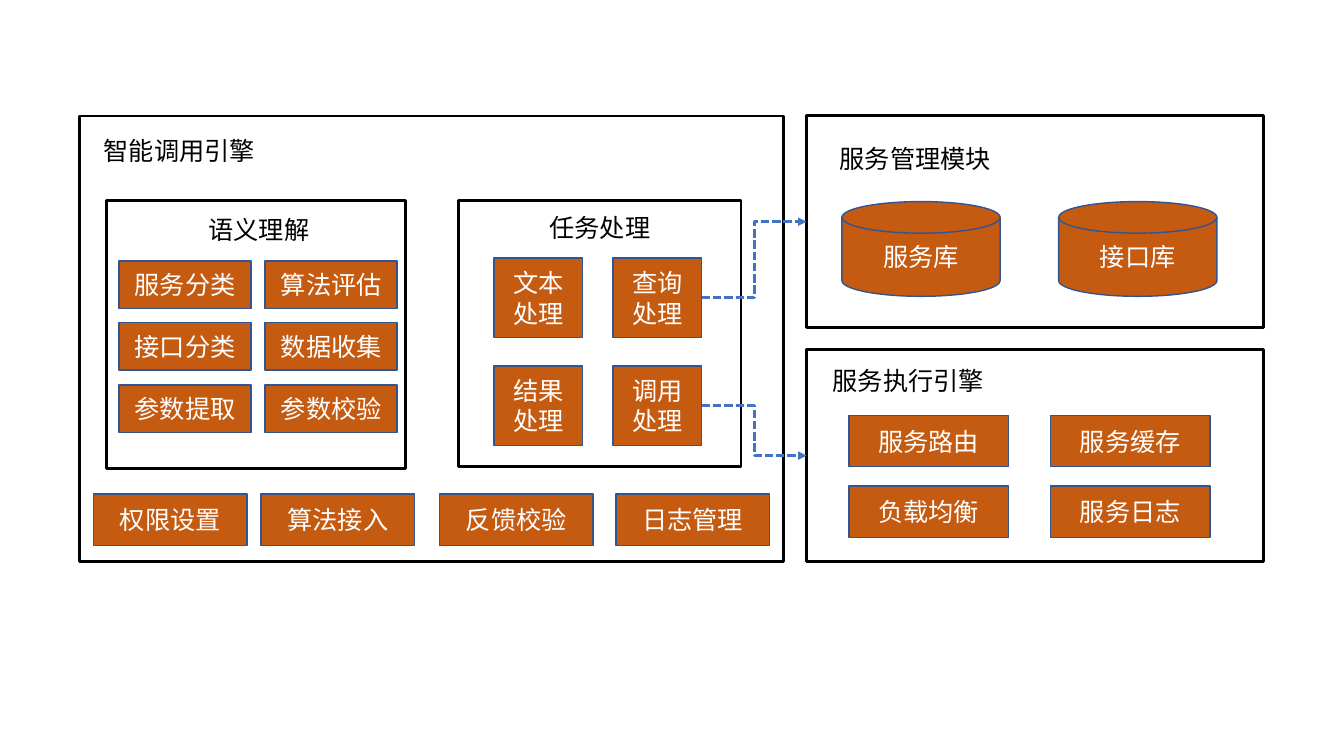
from pptx import Presentation
from pptx.dml.color import RGBColor
from pptx.enum.dml import MSO_LINE
from pptx.enum.shapes import MSO_CONNECTOR, MSO_SHAPE
from pptx.enum.text import MSO_ANCHOR, PP_ALIGN
from pptx.oxml.ns import qn
from pptx.util import Inches, Pt
from lxml import etree

RECT, DISK = MSO_SHAPE.RECTANGLE, MSO_SHAPE.FLOWCHART_MAGNETIC_DISK
ELBOW, DASH = MSO_CONNECTOR.ELBOW, MSO_LINE.SQUARE_DOT
LEFT, CENTER = PP_ALIGN.LEFT, PP_ALIGN.CENTER
TOP, MIDDLE = MSO_ANCHOR.TOP, MSO_ANCHOR.MIDDLE
LEFT_SITE, RIGHT_SITE = 1, 3

ORANGE = RGBColor(0xC5, 0x5A, 0x11)
NAVY = RGBColor(0x32, 0x54, 0x91)
BLUE = RGBColor(0x44, 0x72, 0xC4)
BLACK = RGBColor(0, 0, 0)
WHITE = RGBColor(0xFF, 0xFF, 0xFF)
FONT = "Noto Sans CJK SC"


def write(shape, text, color, align, anchor):
    tf = shape.text_frame
    tf.word_wrap, tf.vertical_anchor = True, anchor
    p = tf.paragraphs[0]
    p.alignment = align
    r = p.add_run()
    r.text = text
    for name, value in {"name": FONT, "size": Pt(18)}.items():
        setattr(r.font, name, value)
    r.font.color.rgb = color
    etree.SubElement(r.font._element, qn("a:ea"), typeface=FONT)


def add_block(s, kind, box, fill, line, width):
    sp = s.shapes.add_shape(kind, *map(Inches, box))
    sp.shadow.inherit = False
    if fill is None:
        sp.fill.background()
    else:
        sp.fill.solid()
        sp.fill.fore_color.rgb = fill
    sp.line.color.rgb = line
    sp.line.width = Pt(width)
    return sp


def add_panel(s, box, title, offset, width, align=LEFT):
    """Outlined frame with a heading at an offset from its corner."""
    frame = add_block(s, RECT, box, None, BLACK, 2)
    place = (box[0] + offset[0], box[1] + offset[1], width, 0.4)
    label = s.shapes.add_textbox(*map(Inches, place))
    write(label, title, BLACK, align, TOP)
    return frame


def add_grid(s, box, columns, rows, size, names, kind=RECT):
    """Filled blocks at column and row offsets, named row by row."""
    cells = [(x, y) for y in rows for x in columns]
    blocks = {}
    for name, (x, y) in zip(names, cells):
        sp = add_block(s, kind, (box[0] + x, box[1] + y, *size), ORANGE, NAVY, 1)
        write(sp, name, WHITE, CENTER, MIDDLE)
        blocks[name] = sp
    return blocks


def add_semantics(s, box):
    add_panel(s, box, "语义理解", (0.91, 0.09), 1.52)
    add_grid(s, box, (0.12, 1.57), (0.6, 1.21, 1.83), (1.31, 0.47),
             ("服务分类", "算法评估", "接口分类", "数据收集", "参数提取", "参数校验"))


def add_tasks(s, box):
    add_panel(s, box, "任务处理", (0.64, 0.07), 1.52, CENTER)
    return add_grid(s, box, (0.35, 1.53), (0.57, 1.64), (0.88, 0.79),
                    ("文本处理", "查询处理", "结果处理", "调用处理"))


def add_call_engine(s, box):
    x, y = box[:2]
    add_panel(s, box, "智能调用引擎", (0.14, 0.14), 1.8)
    add_semantics(s, (x + 0.27, y + 0.84, 2.96, 2.66))
    tasks = add_tasks(s, (x + 3.76, y + 0.84, 2.8, 2.64))
    add_grid(s, box, (0.14, 1.8, 3.57, 5.32), (3.75,), (1.52, 0.51),
             ("权限设置", "算法接入", "反馈校验", "日志管理"))
    return tasks


def add_service_manager(s, box):
    frame = add_panel(s, box, "服务管理模块", (0.23, 0.22), 1.8)
    add_grid(s, box, (0.35, 2.5), (0.85,), (1.57, 0.94), ("服务库", "接口库"), DISK)
    return frame


def add_service_runner(s, box):
    frame = add_panel(s, box, "服务执行引擎", (0.16, 0.11), 1.8)
    add_grid(s, box, (0.42, 2.42), (0.65, 1.35), (1.58, 0.51),
             ("服务路由", "服务缓存", "负载均衡", "服务日志"))
    return frame


def add_arrow(s, source, target):
    """Dashed elbow from the right of one shape to the left of another."""
    c = s.shapes.add_connector(ELBOW, 0, 0, 0, 0)
    c.begin_connect(source, RIGHT_SITE)
    c.end_connect(target, LEFT_SITE)
    c.line.color.rgb = BLUE
    c.line.width = Pt(2)
    c.line.dash_style = DASH
    etree.SubElement(c.line._get_or_add_ln(), qn("a:tailEnd"), type="triangle")
    etree.SubElement(c._element.spPr, qn("a:effectLst"))


def main():
    prs = Presentation()
    prs.slide_width, prs.slide_height = Inches(13.33), Inches(7.5)
    s = prs.slides.add_slide(prs.slide_layouts[6])
    # Three regions
    tasks = add_call_engine(s, (0.79, 1.15, 6.98, 4.42))
    manager = add_service_manager(s, (8, 1.15, 4.53, 2.1))
    runner = add_service_runner(s, (8, 3.47, 4.53, 2.1))
    # Calls from the tasks to the services
    add_arrow(s, tasks["查询处理"], manager)
    add_arrow(s, tasks["调用处理"], runner)
    prs.save("out.pptx")


if __name__ == "__main__":
    main()
